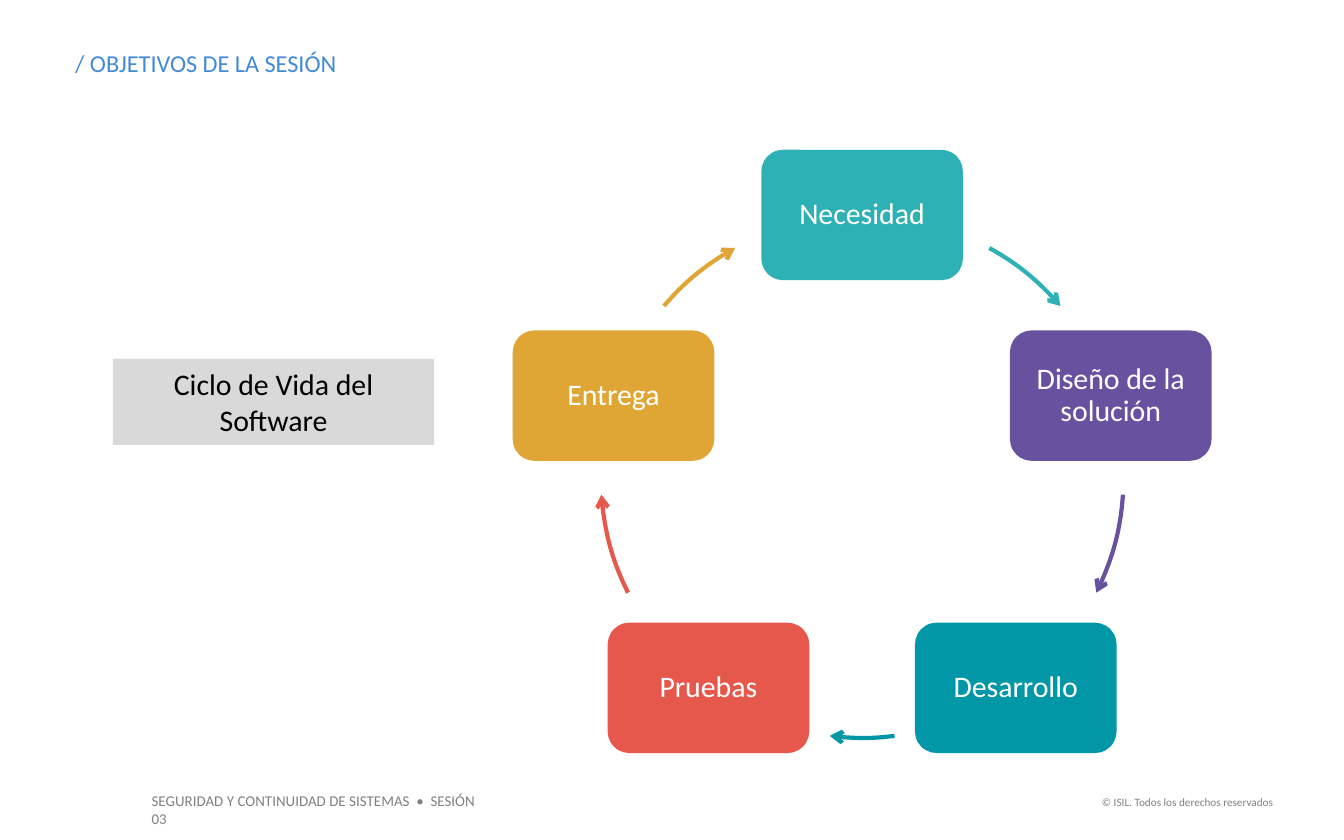
import math

import pptx
import pptx.dml.color
import pptx.enum.shapes
import pptx.enum.text
import pptx.oxml.ns
import pptx.util
from lxml import etree

Inches = pptx.util.Inches
Pt = pptx.util.Pt
RGBColor = pptx.dml.color.RGBColor
SHAPE = pptx.enum.shapes.MSO_SHAPE
ALIGN = pptx.enum.text.PP_ALIGN
ANCHOR = pptx.enum.text.MSO_ANCHOR
qn = pptx.oxml.ns.qn

FONT = "Calibri"
BLUE = RGBColor(0x43, 0x8A, 0xD7)
GRAY = RGBColor(0x80, 0x80, 0x80)
LIGHT_GRAY = RGBColor(0xD9, 0xD9, 0xD9)
BLACK = RGBColor(0x00, 0x00, 0x00)
WHITE = RGBColor(0xFF, 0xFF, 0xFF)
TURQUOISE = RGBColor(0x2E, 0xB1, 0xB5)
PURPLE = RGBColor(0x68, 0x52, 0x9F)
TEAL = RGBColor(0x01, 0x97, 0xA7)
RED = RGBColor(0xE5, 0x58, 0x4B)
GOLD = RGBColor(0xDF, 0xA6, 0x35)

CYCLE_LEFT, CYCLE_TOP, CYCLE_SIZE = 4.47, 1.6, 3.89
RADIUS = CYCLE_SIZE / 2
STAGE_W, STAGE_H = 1.5, 0.97
# Stage name, colour, and the start and end angle of the arrow that leaves it
STAGES = [
    ("Necesidad", TURQUOISE, -60.9, -40.7),
    ("Diseño de la solución", PURPLE, 4, 26.4),
    ("Desarrollo", TEAL, 82.9, 97.1),
    ("Pruebas", RED, 153.6, 176),
    ("Entrega", GOLD, 220.7, 240.9),
]


def set_text(sp, text, size, color, align=ALIGN.LEFT, inset=None, spacing=None):
    tf = sp.text_frame
    tf.word_wrap = True
    tf.text = text
    if inset is not None:
        tf.margin_left = tf.margin_right = Inches(inset)
        tf.margin_top = tf.margin_bottom = Inches(inset)
    p = tf.paragraphs[0]
    p.alignment = align
    if spacing:
        p.line_spacing = spacing
    font = p.runs[0].font
    font.name, font.size = FONT, Pt(size)
    font.color.rgb = color


def add_text(s, box, text, size, color, **options):
    sp = s.shapes.add_textbox(*map(Inches, box))
    set_text(sp, text, size, color, **options)


def add_block(s, kind, box, fill, text, color, **options):
    sp = s.shapes.add_shape(kind, *map(Inches, box))
    sp.shadow.inherit = False
    sp.fill.solid()
    sp.fill.fore_color.rgb = fill
    sp.line.fill.background()
    set_text(sp, text, 16, color, align=ALIGN.CENTER, **options)
    sp.text_frame.vertical_anchor = ANCHOR.MIDDLE


def cycle_point(degrees):
    """Point on the cycle, measured from the corner of its frame."""
    angle = math.radians(degrees)
    return RADIUS * (1 + math.cos(angle)), RADIUS * (1 + math.sin(angle))


def arc_points(start, end):
    """The four Bezier points of an arc of the cycle."""
    handle = RADIUS * 4 / 3 * math.tan(math.radians(end - start) / 4)
    (x1, y1), (x2, y2) = cycle_point(start), cycle_point(end)
    a, b = math.radians(start), math.radians(end)
    return [(x1, y1),
            (x1 - handle * math.sin(a), y1 + handle * math.cos(a)),
            (x2 + handle * math.sin(b), y2 - handle * math.cos(b)),
            (x2, y2)]


def add_path_step(path, tag, points):
    step = etree.SubElement(path, qn(tag))
    for x, y in points:
        etree.SubElement(step, qn("a:pt"), x=str(Inches(x)), y=str(Inches(y)))


def add_arc_arrow(s, start, end, color):
    """Curved arrow whose frame is that of the whole cycle."""
    left, top, size = map(Inches, (CYCLE_LEFT, CYCLE_TOP, CYCLE_SIZE))
    builder = s.shapes.build_freeform(left, top)
    builder.add_line_segments([(left + size, top + size)], close=False)
    sp = builder.convert_to_shape()
    path = next(sp._element.iter(qn("a:path")))
    for step in list(path):
        path.remove(step)
    points = arc_points(start, end)
    add_path_step(path, "a:moveTo", points[:1])
    add_path_step(path, "a:cubicBezTo", points[1:])
    sp.shadow.inherit = False
    sp.fill.background()
    sp.line.color.rgb = color
    sp.line.width = Pt(2.25)
    etree.SubElement(sp.line._get_or_add_ln(), qn("a:tailEnd"), type="arrow")


def add_cycle(s):
    for i, (name, color, start, end) in enumerate(STAGES):
        x, y = cycle_point(-90 + i * 360 / len(STAGES))
        box = (CYCLE_LEFT + x - STAGE_W / 2, CYCLE_TOP + y - STAGE_H / 2,
               STAGE_W, STAGE_H)
        add_block(s, SHAPE.ROUNDED_RECTANGLE, box, color, name, WHITE,
                  inset=0.12, spacing=0.9)
        add_arc_arrow(s, start, end, color)


def main():
    prs = pptx.Presentation()
    prs.slide_width, prs.slide_height = Inches(10), Inches(6.25)
    s = prs.slides.add_slide(prs.slide_layouts[6])
    add_text(s, (1.03, 5.84, 2.74, 0.24),
             "SEGURIDAD Y CONTINUIDAD DE SISTEMAS  •  SESIÓN 03", 8, GRAY)
    add_text(s, (8.07, 5.87, 1.5, 0.2),
             "© ISIL. Todos los derechos reservados", 6, GRAY, align=ALIGN.RIGHT)
    add_text(s, (0.56, 0.36, 2.13, 0.22), "/ OBJETIVOS DE LA SESIÓN", 13, BLUE,
             inset=0)
    add_block(s, SHAPE.RECTANGLE, (0.84, 2.67, 2.39, 0.64), LIGHT_GRAY,
              "Ciclo de Vida del Software", BLACK)
    add_cycle(s)
    prs.save("out.pptx")


if __name__ == "__main__":
    main()
